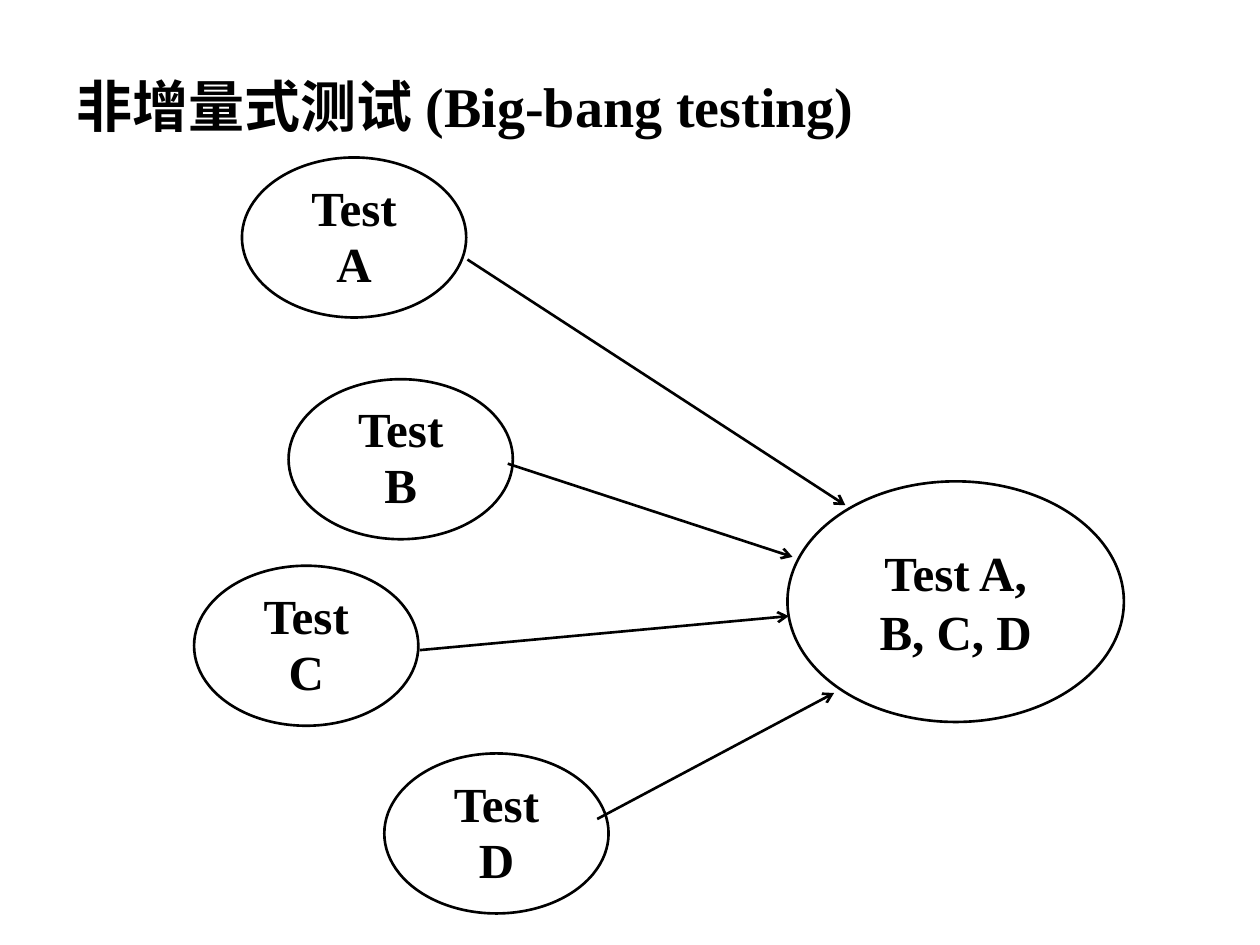
from lxml.etree import SubElement
from pptx import Presentation
from pptx.dml.color import RGBColor
from pptx.enum.shapes import MSO_CONNECTOR, MSO_SHAPE
from pptx.enum.text import MSO_ANCHOR, PP_ALIGN
from pptx.oxml.ns import qn
from pptx.util import Inches, Pt

FONT, INK = "Times New Roman", "000000"
TITLE = "非增量式测试 (Big-bang testing)"
UNIT_SIZE = (1.78, 1.27)
# unit name, ellipse corner, arrow start, arrow end
UNITS = [
    ("A", (1.92, 1.25), (3.71, 2.06), (6.71, 4.01)),
    ("B", (2.29, 3.01), (4.03, 3.68), (6.29, 4.42)),
    ("C", (1.54, 4.49), (3.33, 5.16), (6.26, 4.89)),
    ("D", (3.05, 5.98), (4.74, 6.5), (6.62, 5.5)),
]
WHOLE_LINES = ["Test A,", "B, C, D"]
WHOLE_CORNER, WHOLE_SIZE = (6.25, 3.82), (2.67, 1.91)


def inches(*values):
    return [Inches(v) for v in values]


def rgb(color):
    return RGBColor.from_string(color)


def add_run(p, text, size):
    r = p.add_run()
    r.text = text
    r.font.name, r.font.size, r.font.bold = FONT, Pt(size), True
    r.font.color.rgb = rgb(INK)


def style_line(line):
    line.color.rgb = rgb(INK)
    line.width = Pt(1.5)


def add_ellipse(s, corner, size, lines, spacing=None):
    sp = s.shapes.add_shape(MSO_SHAPE.OVAL, *inches(*corner, *size))
    sp.shadow.inherit = False
    sp.fill.background()
    style_line(sp.line)
    tf = sp.text_frame
    tf.word_wrap = False
    tf.vertical_anchor = MSO_ANCHOR.MIDDLE
    for i, text in enumerate(lines):
        p = tf.add_paragraph() if i else tf.paragraphs[0]
        p.alignment = PP_ALIGN.CENTER
        p.line_spacing = spacing
        add_run(p, text, 28)


def add_arrow(s, start, end):
    arrow = s.shapes.add_connector(MSO_CONNECTOR.STRAIGHT, *inches(*start, *end))
    style_line(arrow.line)
    SubElement(arrow.line._get_or_add_ln(), qn("a:tailEnd"), type="arrow")
    SubElement(arrow._element.spPr, qn("a:effectLst"))


def main():
    prs = Presentation()
    prs.slide_width, prs.slide_height = inches(10, 7.5)
    s = prs.slides.add_slide(prs.slide_layouts[6])

    tf = s.shapes.add_textbox(*inches(0.51, 0.52, 8.18, 0.64)).text_frame
    tf.word_wrap = True
    add_run(tf.paragraphs[0], TITLE, 32)

    add_ellipse(s, WHOLE_CORNER, WHOLE_SIZE, WHOLE_LINES)
    for name, corner, start, end in UNITS:
        add_ellipse(s, corner, UNIT_SIZE, ["Test", name], spacing=0.95)
        add_arrow(s, start, end)

    prs.save("out.pptx")


if __name__ == "__main__":
    main()
